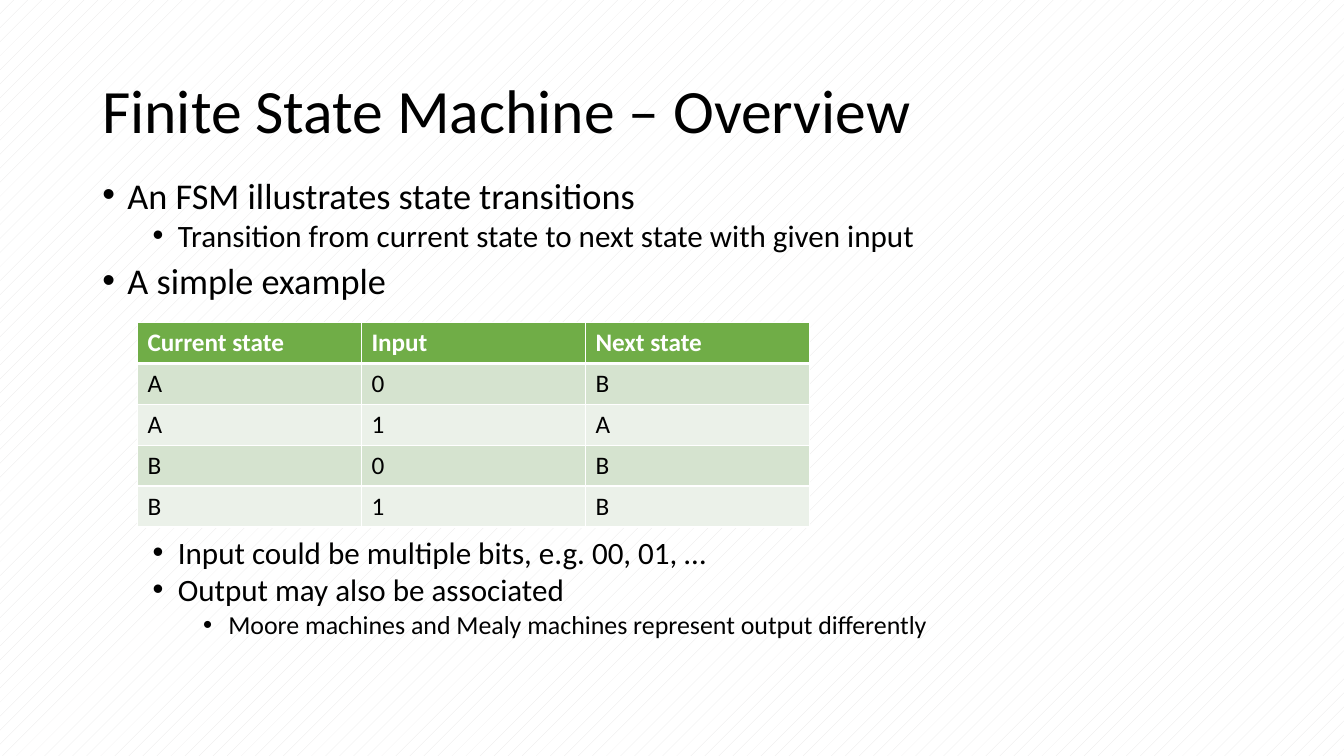
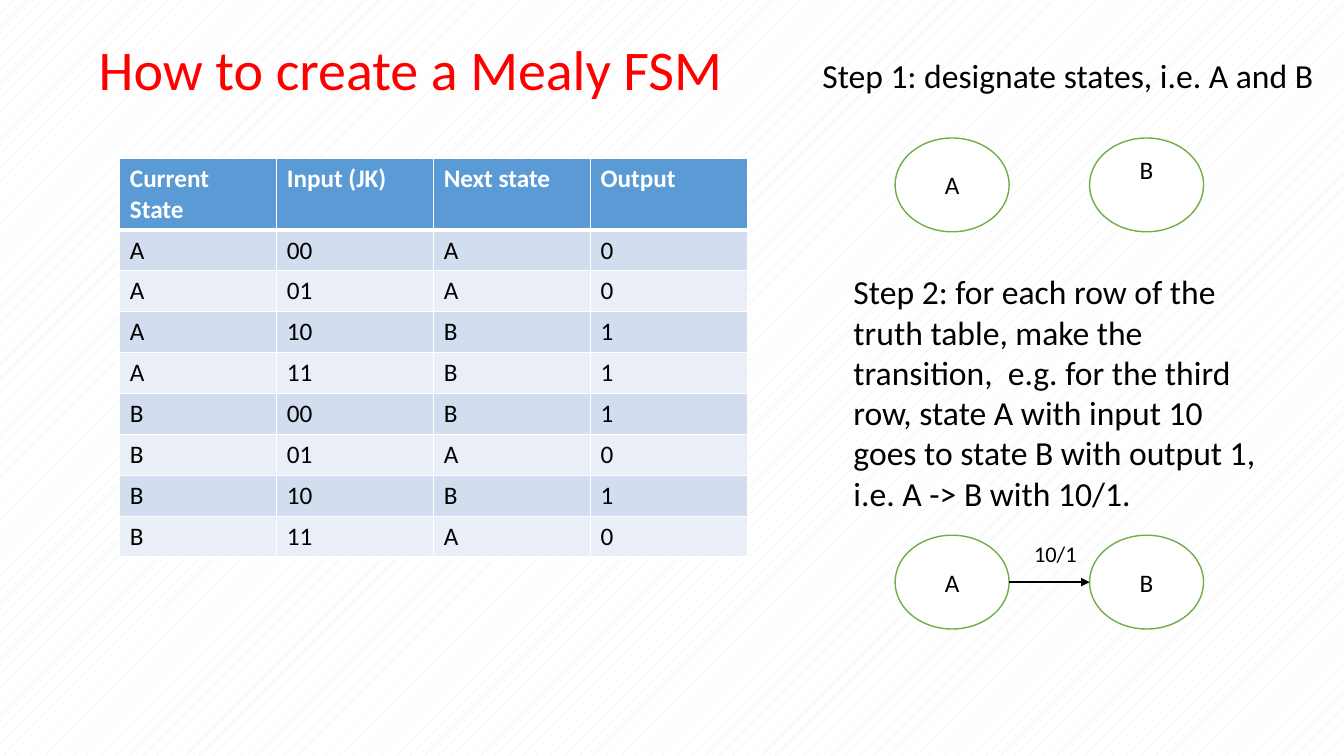
import pptx
import pptx.dml.color
import pptx.enum.dml
import pptx.enum.shapes
import pptx.enum.text
import pptx.oxml
import pptx.oxml.ns
import pptx.util
from lxml import etree

Pt = pptx.util.Pt
RGB = pptx.dml.color.RGBColor.from_string
ANCHOR = pptx.enum.text.MSO_ANCHOR
CENTER = pptx.enum.text.PP_ALIGN.CENTER
OVAL = pptx.enum.shapes.MSO_SHAPE.OVAL
STRAIGHT = pptx.enum.shapes.MSO_CONNECTOR.STRAIGHT
qn = pptx.oxml.ns.qn

FONT = "Calibri"
COLORS = {
    "black": "000000", "white": "FFFFFF", "red": "FF0000", "pattern": "E7E6E6",
    "green": "70AD47", "green_band": "D5E3CF", "green_pale": "EBF1E9",
    "blue": "5B9BD5", "blue_band": "D2DEEF", "blue_pale": "EAEFF7",
}
BULLET_SIZES = [25.9, 22.2, 18.5]
ROW_HEIGHT = 29.2


def write(tf, text, size=18, color="black", bold=False, align=None,
          spacing=None, bullet_level=None):
    """Put text in the empty first paragraph of tf, or else in a new one."""
    first = not tf.text
    p = tf.paragraphs[0] if first else tf.add_paragraph()
    if bullet_level is not None:
        size = BULLET_SIZES[bullet_level]
        p.level = bullet_level
        pPr = p._p.get_or_add_pPr()
        pPr.set("marL", str(Pt(18 + 36 * bullet_level)))
        pPr.set("indent", str(Pt(-18)))
        etree.SubElement(pPr, qn("a:buFont")).set("typeface", "Arial")
        etree.SubElement(pPr, qn("a:buChar")).set("char", "•")
        p.space_before = Pt(0 if first else 5 if bullet_level else 10)
    if align is not None:
        p.alignment = align
    if spacing is not None:
        p.line_spacing = spacing
    r = p.add_run()
    r.text = text
    r.font.name = FONT
    r.font.size = Pt(size)
    r.font.bold = bold
    r.font.color.rgb = RGB(COLORS[color])


def add_table(s, x, y, col_width, header_height, hue, rows):
    """Add a table with a header row, banded body rows and white rules."""
    n_rows, n_cols = len(rows), len(rows[0])
    height = header_height + ROW_HEIGHT * (n_rows - 1)
    table = s.shapes.add_table(n_rows, n_cols, Pt(x), Pt(y),
                               Pt(col_width * n_cols), Pt(height)).table
    for col in table.columns:
        col.width = Pt(col_width)
    for i, row in enumerate(rows):
        table.rows[i].height = Pt(ROW_HEIGHT if i else header_height)
        fill = hue if i == 0 else hue + ("_band" if i % 2 else "_pale")
        for j, text in enumerate(row):
            cell = table.cell(i, j)
            tcPr = cell._tc.get_or_add_tcPr()
            for side in ("lnL", "lnR", "lnT", "lnB"):
                under_header = (i, side) in ((0, "lnB"), (1, "lnT"))
                ln = etree.SubElement(tcPr, qn("a:" + side))
                ln.set("w", str(Pt(3 if under_header else 1)))
                solid = etree.SubElement(ln, qn("a:solidFill"))
                etree.SubElement(solid, qn("a:srgbClr")).set("val", COLORS["white"])
            cell.fill.solid()
            cell.fill.fore_color.rgb = RGB(COLORS[fill])
            write(cell.text_frame, text, bold=i == 0,
                  color="black" if i else "white")


prs = pptx.Presentation()
prs.slide_width, prs.slide_height = Pt(960), Pt(540)

background = prs.slide_master.background.fill
background.patterned()
background.pattern = pptx.enum.dml.MSO_PATTERN.PERCENT_5
background.fore_color.rgb = RGB(COLORS["pattern"])
background.back_color.rgb = RGB(COLORS["white"])

overview, mealy = [prs.slides.add_slide(prs.slide_layouts[6]) for _ in range(2)]

# Titles
for s, text, (x, y, w, h), size, color in [
    (overview, "Finite State Machine – Overview", (66, 28.8, 828, 104.4), 44, "black"),
    (mealy, "How to create a Mealy FSM", (63.4, 21.6, 516, 60.5), 40, "red"),
]:
    tf = s.shapes.add_textbox(Pt(x), Pt(y), Pt(w), Pt(h)).text_frame
    tf.word_wrap = True
    tf.vertical_anchor = ANCHOR.MIDDLE
    write(tf, text, size=size, color=color, spacing=0.9)

# Overview: bullets above and below the table
for y, h, bullets in [
    (126, 100, [
        (0, "An FSM illustrates state transitions"),
        (1, "Transition from current state to next state with given input"),
        (0, "A simple example"),
    ]),
    (383, 86, [
        (1, "Input could be multiple bits, e.g. 00, 01, …"),
        (1, "Output may also be associated"),
        (2, "Moore machines and Mealy machines represent output differently"),
    ]),
]:
    tf = overview.shapes.add_textbox(Pt(66), Pt(y), Pt(828), Pt(h)).text_frame
    tf.word_wrap = True
    for level, text in bullets:
        write(tf, text, bullet_level=level, spacing=0.8)

add_table(overview, 98.2, 230.4, 160, ROW_HEIGHT, "green", [
    ("Current state", "Input", "Next state"),
    ("A", "0", "B"),
    ("A", "1", "A"),
    ("B", "0", "B"),
    ("B", "1", "B"),
])

# Mealy: truth table, steps and state diagrams
add_table(mealy, 85.6, 113.2, 112.1, 51.1, "blue", [
    ("Current State", "Input (JK)", "Next state", "Output"),
    ("A", "00", "A", "0"),
    ("A", "01", "A", "0"),
    ("A", "10", "B", "1"),
    ("A", "11", "B", "1"),
    ("B", "00", "B", "1"),
    ("B", "01", "A", "0"),
    ("B", "10", "B", "1"),
    ("B", "11", "A", "0"),
])

STATE_W, STATE_H = 81.4, 67
STATE_X = {"A": 639.4, "B": 778.3}
STEP_1_Y, STEP_2_Y = 98.6, 382.3

transition = mealy.shapes.add_group_shape()
for shapes, y in [(mealy.shapes, STEP_1_Y), (transition.shapes, STEP_2_Y)]:
    for name, x in STATE_X.items():
        state = shapes.add_shape(OVAL, Pt(x), Pt(y), Pt(STATE_W), Pt(STATE_H))
        state.shadow.inherit = False
        state.fill.solid()
        state.fill.fore_color.rgb = RGB(COLORS["white"])
        state.line.color.rgb = RGB(COLORS["green"])
        state.line.width = Pt(1)
        tf = state.text_frame
        tf.vertical_anchor = ANCHOR.MIDDLE
        if (name, y) == ("B", STEP_1_Y):
            tf.vertical_anchor = ANCHOR.TOP
            tf.margin_top = Pt(1.5)
        write(tf, name, align=CENTER)

arrow_y = Pt(STEP_2_Y + STATE_H / 2)
arrow = transition.shapes.add_connector(
    STRAIGHT, Pt(STATE_X["A"] + STATE_W), arrow_y, Pt(STATE_X["B"]), arrow_y)
arrow.line.color.rgb = RGB(COLORS["black"])
arrow.line.width = Pt(1)
etree.SubElement(arrow.line._get_or_add_ln(), qn("a:tailEnd")).set("type", "triangle")
etree.SubElement(arrow._element.spPr, qn("a:effectLst"))

for shapes, text, (x, y, w, h), size in [
    (mealy.shapes, "Step 1: designate states, i.e. A and B", (580.3, 36, 370.8, 36), 24),
    (mealy.shapes, "Step 2: for each row of the truth table, make the transition,  "
     "e.g. for the third row, state A with input 10 goes to state B with output 1, "
     "i.e. A -> B with 10/1.", (602.6, 190.1, 306.7, 181.4), 24),
    (transition.shapes, "10/1", (731.5, STEP_2_Y, 46.8, 26.6), 16),
]:
    tf = shapes.add_textbox(Pt(x), Pt(y), Pt(w), Pt(h)).text_frame
    tf.word_wrap = True
    write(tf, text, size=size)

prs.save("out.pptx")
